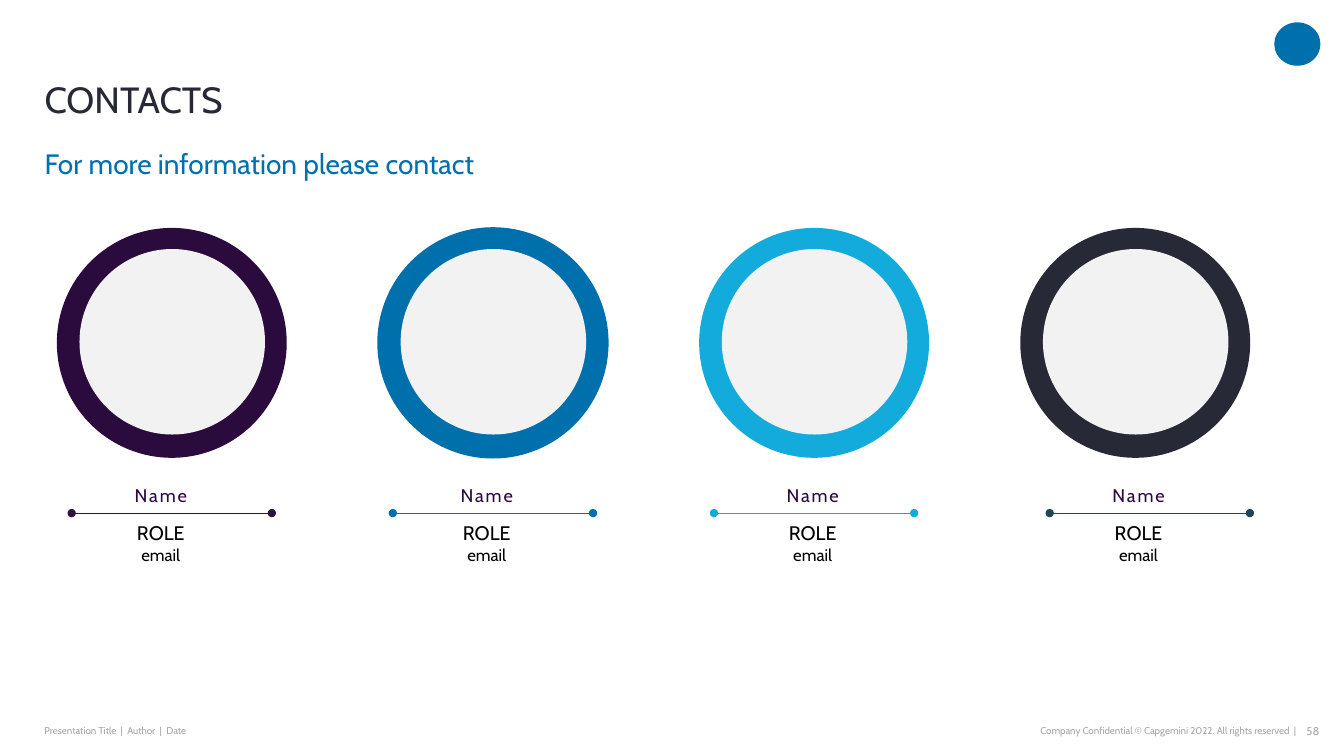
from pptx import Presentation
from pptx.dml.color import RGBColor
from pptx.enum.shapes import MSO_CONNECTOR, MSO_SHAPE
from pptx.enum.text import MSO_ANCHOR, PP_ALIGN
from pptx.oxml.ns import qn
from pptx.util import Pt
from lxml import etree

OVAL = MSO_SHAPE.OVAL
STRAIGHT = MSO_CONNECTOR.STRAIGHT
LEFT, CENTER, RIGHT = PP_ALIGN.LEFT, PP_ALIGN.CENTER, PP_ALIGN.RIGHT
TOP, MIDDLE, BOTTOM = MSO_ANCHOR.TOP, MSO_ANCHOR.MIDDLE, MSO_ANCHOR.BOTTOM
FONT = "Cabin"
COLORS = {
    "purple": "2B0A3D",
    "purple_rule": "2B143D",
    "blue": "0070AD",
    "cyan": "12ABDB",
    "ink": "272936",
    "teal": "214554",
    "photo": "F2F2F2",
    "footer": "A6A6A6",
    "black": "000000",
}
CONTACTS = [
    ("purple", "purple_rule", 10.6),
    ("blue", "blue", 10.6),
    ("cyan", "cyan", 10.6),
    ("ink", "teal", 21),
]
RING_PITCH = 229.4
LABEL_PITCH = 232.8


def color(name):
    return RGBColor.from_string(COLORS[name])


def add_text(page, box, lines, fill, align=LEFT, anchor=TOP, wrap=True):
    shape = page.shapes.add_textbox(*map(Pt, box))
    frame = shape.text_frame
    frame.text = "\n".join(text for text, size in lines)
    frame.word_wrap = wrap
    frame.vertical_anchor = anchor
    frame.margin_left = frame.margin_right = 0
    frame.margin_top = frame.margin_bottom = 0
    for para, (text, size) in zip(frame.paragraphs, lines):
        para.alignment = align
        for span in para.runs:
            span.font.name = FONT
            span.font.size = Pt(size)
            span.font.color.rgb = color(fill)
    return frame.paragraphs[0]


def add_oval(page, box, fill):
    oval = page.shapes.add_shape(OVAL, *map(Pt, box))
    oval.shadow.inherit = False
    oval.fill.solid()
    oval.fill.fore_color.rgb = color(fill)
    oval.line.fill.background()
    return oval


def add_rule(page, left, top, width, fill):
    rule = page.shapes.add_connector(STRAIGHT, Pt(left), Pt(top), Pt(left + width), Pt(top))
    rule.line.color.rgb = color(fill)
    rule.line.width = Pt(0.5)
    outline = rule.line._get_or_add_ln()
    for end in ("a:headEnd", "a:tailEnd"):
        etree.SubElement(outline, qn(end)).set("type", "oval")
    etree.SubElement(rule._element.spPr, qn("a:effectLst"))


def add_heading(page, box):
    left, top, width, height = box
    title = add_text(page, (left, top, width, 56.2), [("CONTACTS", 26)], "ink", anchor=BOTTOM)
    title.line_spacing = 0.9
    subtitle = add_text(page, (left, top + 74.2, width, 24.5),
                        [("For more information please contact", 20)], "blue")
    subtitle.space_after = Pt(6)


def add_portrait(page, box, ring, rule, rule_inset):
    left, top, width, height = box
    outer = add_oval(page, (left, top, width, width), ring)
    if ring == "blue":
        outer.line.color.rgb = color(ring)
        outer.line.width = Pt(1)
    add_oval(page, (left + 16.2, top + 15.1, 132.5, 132.5), "photo")
    add_rule(page, left + rule_inset, top + height, 143, rule)


def add_label(page, box):
    left, top, width, height = box
    name = add_text(page, (left, top, width, 15.8), [("Name", 13)], "purple", CENTER, wrap=False)
    for span in name.runs:
        span._r.get_or_add_rPr().set("spc", "140")
    add_text(page, (left, top + 26.6, width, height - 26.6),
             [("ROLE", 14), ("email", 12)], "black", CENTER, wrap=False)


def add_footer(page, box):
    left, top, width, height = box
    add_text(page, (left, top, 268, height),
             [("Presentation Title  |  Author  |  Date", 7)], "footer", anchor=MIDDLE)
    add_text(page, (left + 537, top, 357, height),
             [("Company Confidential © Capgemini 2022. All rights reserved  |", 7)],
             "footer", RIGHT, MIDDLE)
    add_text(page, (left + width - 18, top, 18, height), [("58", 8)], "footer", RIGHT, MIDDLE)


def main():
    deck = Presentation()
    deck.slide_width, deck.slide_height = Pt(960), Pt(540)
    page = deck.slides.add_slide(deck.slide_layouts[6])
    add_oval(page, (910.2, 16, 33, 31), "blue")
    add_footer(page, (31.8, 513.4, 910.6, 17.2))
    add_heading(page, (31.8, 30.2, 862, 99))
    for index, (ring, rule, rule_inset) in enumerate(CONTACTS):
        add_portrait(page, (40.6 + index * RING_PITCH, 162.8, 164.2, 203.7),
                     ring, rule, rule_inset)
        add_label(page, (94.4 + index * LABEL_PITCH, 345.6, 41, 58.4))
    deck.save("out.pptx")


if __name__ == "__main__":
    main()
